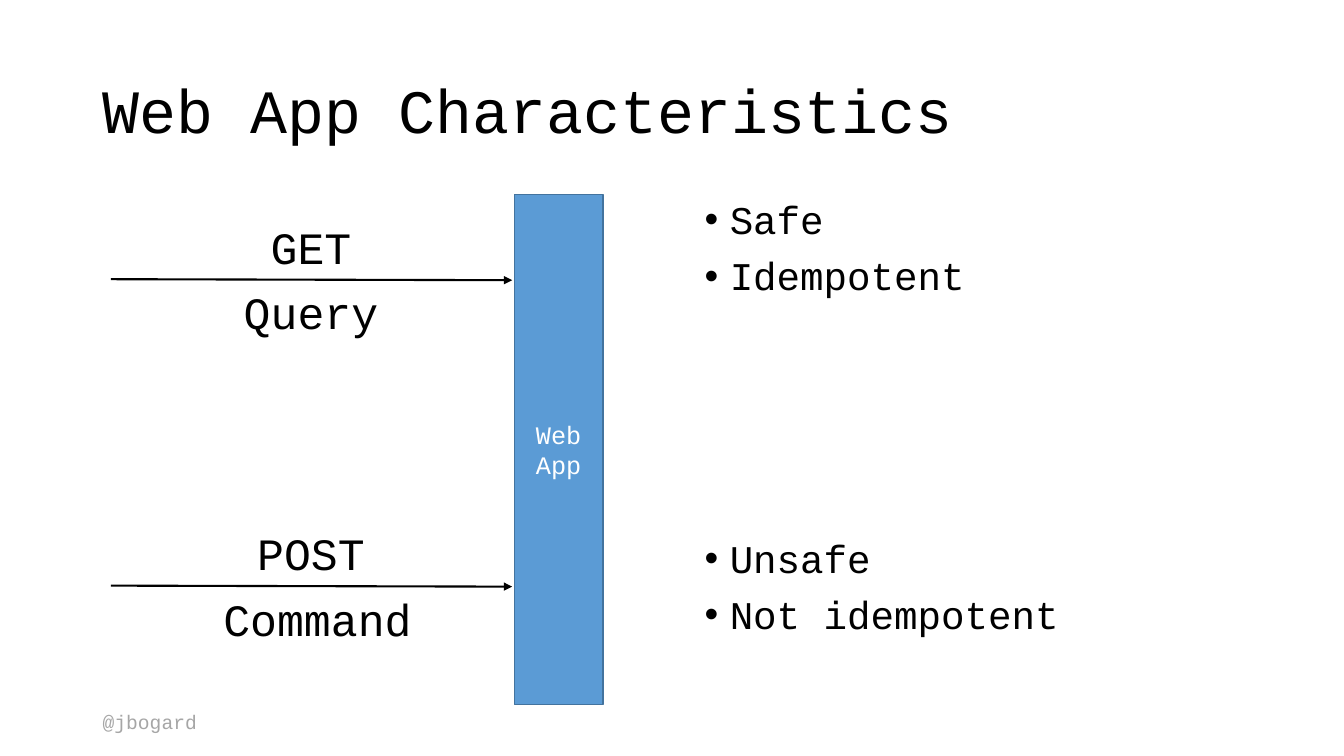
from lxml import etree
from pptx import Presentation
from pptx.dml.color import RGBColor
from pptx.enum.shapes import MSO_CONNECTOR, MSO_SHAPE
from pptx.enum.text import MSO_ANCHOR, PP_ALIGN
from pptx.oxml.ns import qn
from pptx.util import Inches, Pt

RECTANGLE = MSO_SHAPE.RECTANGLE
STRAIGHT = MSO_CONNECTOR.STRAIGHT
TOP, MIDDLE = MSO_ANCHOR.TOP, MSO_ANCHOR.MIDDLE
LEFT, CENTER = PP_ALIGN.LEFT, PP_ALIGN.CENTER

TITLE = "Web App Characteristics"
HANDLE = "@jbogard"
SERVER = "Web App"
REQUESTS = [
    {"verb": "GET", "role": "Query", "role_width": 1.97, "traits": ["Safe", "Idempotent"]},
    {"verb": "POST", "role": "Command", "role_width": 2.1, "traits": ["Unsafe", "Not idempotent"]},
]

FONT = "Courier New"
COLORS = {
    "text": "000000",
    "handle": "A6A6A6",
    "server": "5B9BD5",
    "server_line": "43739E",
    "server_text": "FFFFFF",
}
FORMATS = {
    "title": {"size": Pt(44), "color": "text", "align": LEFT, "anchor": MIDDLE, "line_spacing": 0.9},
    "handle": {"size": Pt(14), "color": "handle", "align": LEFT, "anchor": TOP},
    "server": {"size": Pt(18), "color": "server_text", "align": CENTER, "anchor": MIDDLE},
    "label": {"size": Pt(32), "color": "text", "align": CENTER, "anchor": TOP},
    "traits": {"size": Pt(28), "color": "text", "align": LEFT, "anchor": TOP,
               "line_spacing": 0.9, "gap": Pt(10), "bullet": "•"},
}

ARROW_LEFT, ARROW_RIGHT, ARROW_DROP = 1.1, 5.08, 0.01
FIRST_ARROW, ARROW_STEP = 2.77, 3.04
LABEL_LEFT, LABEL_WIDTH, LABEL_HEIGHT = 2.1, 1.97, 0.64
TRAITS_LEFT, TRAITS_TOP, TRAITS_STEP = 6.89, 1.94, 3.36
TRAITS_WIDTH, TRAITS_HEIGHT = 5.67, 1.4


def color(name):
    return RGBColor.from_string(COLORS[name])


def add_bullet(paragraph, character):
    properties = paragraph._p.get_or_add_pPr()
    properties.set("marL", str(Inches(0.25)))
    properties.set("indent", str(Inches(-0.25)))
    font = etree.SubElement(properties, qn("a:buFont"))
    font.set("typeface", "Arial")
    bullet = etree.SubElement(properties, qn("a:buChar"))
    bullet.set("char", character)


def write(shape, lines, style):
    frame = shape.text_frame
    frame.word_wrap = True
    frame.vertical_anchor = style["anchor"]
    for index, line in enumerate(lines):
        paragraph = frame.add_paragraph() if index else frame.paragraphs[0]
        paragraph.text = line
        paragraph.alignment = style["align"]
        if "bullet" in style:
            add_bullet(paragraph, style["bullet"])
        if "line_spacing" in style:
            paragraph.line_spacing = style["line_spacing"]
        if index and "gap" in style:
            paragraph.space_before = style["gap"]
        for name, value in {"name": FONT, "size": style["size"]}.items():
            setattr(paragraph.font, name, value)
        paragraph.font.color.rgb = color(style["color"])


def add_text(slide, box, lines, style_name):
    shape = slide.shapes.add_textbox(*map(Inches, box))
    write(shape, lines, FORMATS[style_name])


def add_server(slide):
    shape = slide.shapes.add_shape(RECTANGLE, *map(Inches, (5.1, 1.93, 0.88, 5.06)))
    shape.shadow.inherit = False
    shape.fill.solid()
    shape.fill.fore_color.rgb = color("server")
    shape.line.color.rgb = color("server_line")
    shape.line.width = Pt(1)
    write(shape, [SERVER], FORMATS["server"])


def add_arrow(slide, top):
    ends = ARROW_LEFT, top, ARROW_RIGHT, top + ARROW_DROP
    arrow = slide.shapes.add_connector(STRAIGHT, *map(Inches, ends))
    arrow.line.color.rgb = color("text")
    arrow.line.width = Pt(1.5)
    head = etree.SubElement(arrow.line._get_or_add_ln(), qn("a:tailEnd"))
    head.set("type", "triangle")
    etree.SubElement(arrow._element.spPr, qn("a:effectLst"))


def add_request(slide, index, request):
    top = FIRST_ARROW + index * ARROW_STEP
    add_arrow(slide, top)
    verb_box = LABEL_LEFT, top - LABEL_HEIGHT, LABEL_WIDTH, LABEL_HEIGHT
    role_box = LABEL_LEFT, top + ARROW_DROP, request["role_width"], LABEL_HEIGHT
    traits_box = TRAITS_LEFT, TRAITS_TOP + index * TRAITS_STEP, TRAITS_WIDTH, TRAITS_HEIGHT
    add_text(slide, verb_box, [request["verb"]], "label")
    add_text(slide, role_box, [request["role"]], "label")
    add_text(slide, traits_box, request["traits"], "traits")


def main():
    presentation = Presentation()
    presentation.slide_width = Inches(13.33)
    presentation.slide_height = Inches(7.5)
    slide = presentation.slides.add_slide(presentation.slide_layouts[6])
    add_text(slide, (0.92, 6.99, 1.46, 0.34), [HANDLE], "handle")
    add_text(slide, (0.92, 0.4, 11.5, 1.45), [TITLE], "title")
    add_server(slide)
    for index, request in enumerate(REQUESTS):
        add_request(slide, index, request)
    presentation.save("out.pptx")


if __name__ == "__main__":
    main()
